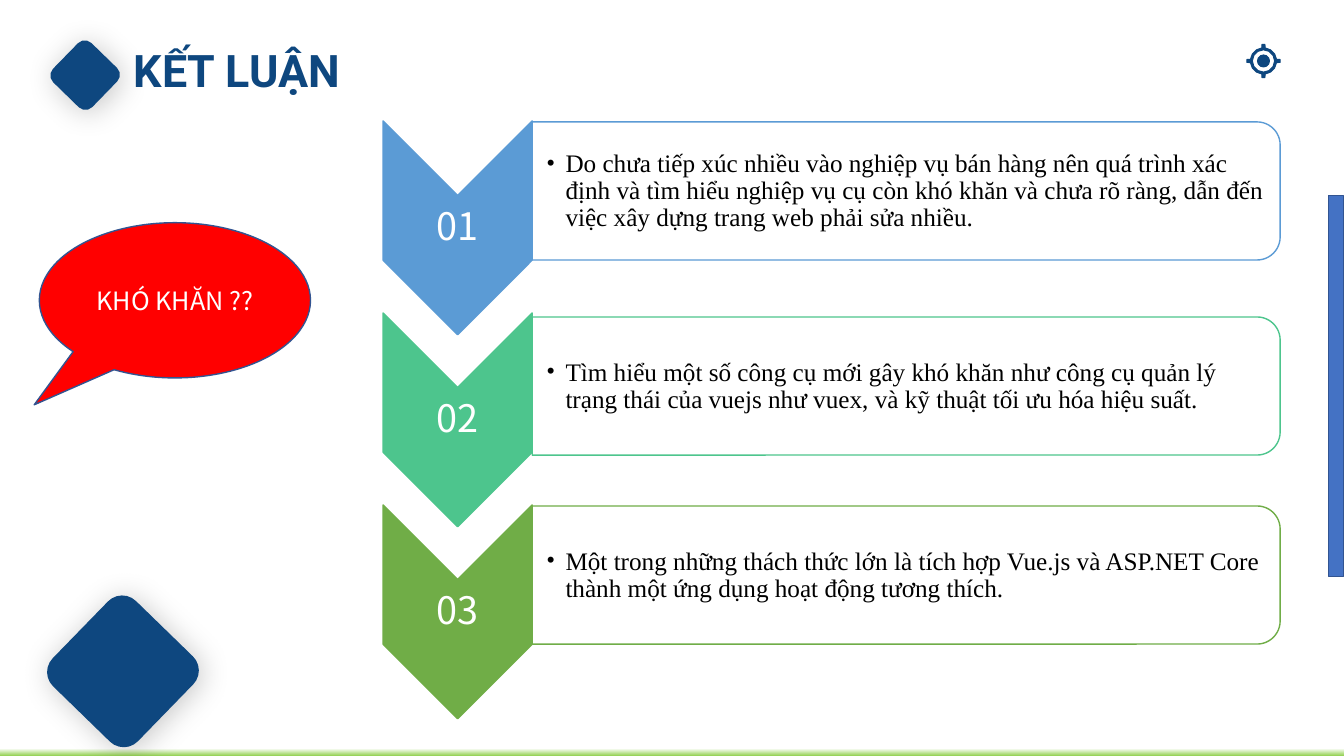
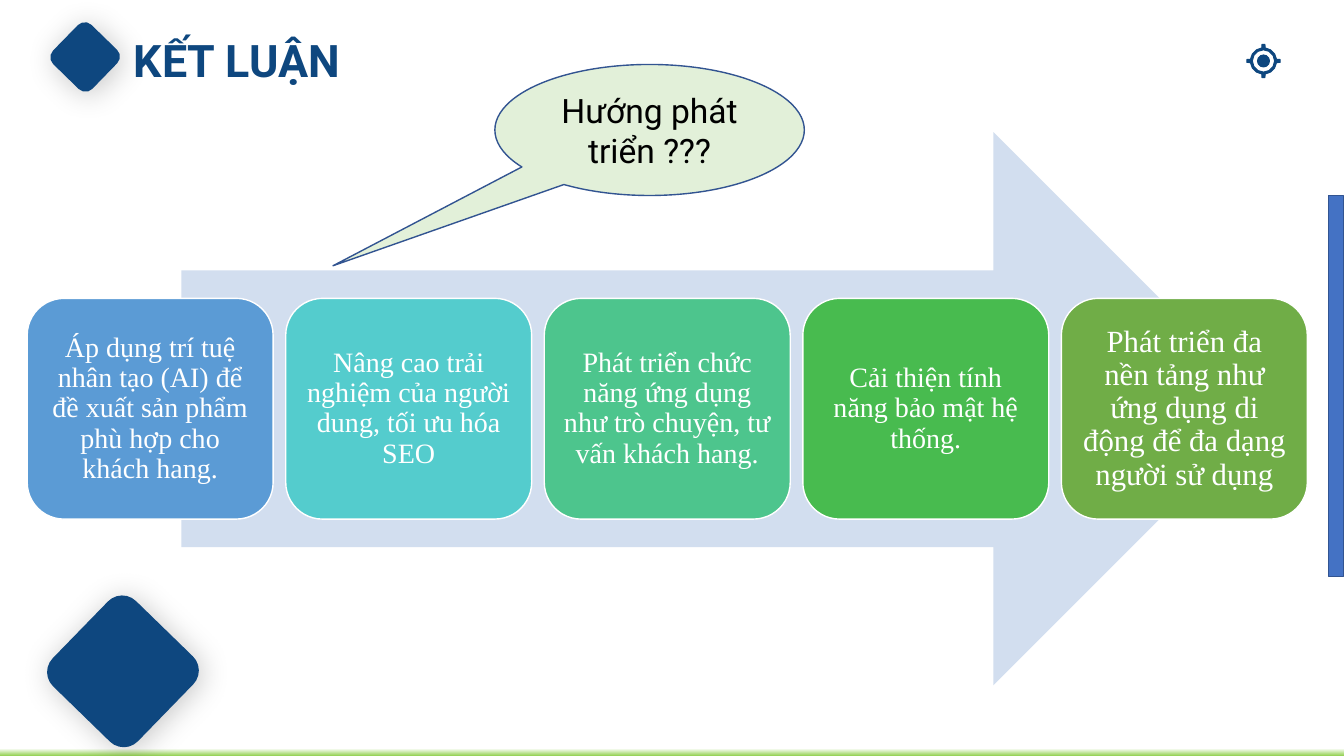
import dataclasses
import math

import pptx
import pptx.dml.color
import pptx.enum.shapes
import pptx.enum.text
import pptx.oxml
import pptx.oxml.ns
import pptx.util

Inches = pptx.util.Inches
Pt = pptx.util.Pt
PRESET = pptx.enum.shapes.MSO_SHAPE
ALIGN = pptx.enum.text.PP_ALIGN
MIDDLE = pptx.enum.text.MSO_ANCHOR.MIDDLE
GROW = pptx.enum.text.MSO_AUTO_SIZE.SHAPE_TO_FIT_TEXT


@dataclasses.dataclass(frozen=True)
class Theme:
    navy: str = "0E477F"
    white: str = "FFFFFF"
    black: str = "000000"
    red: str = "FF0000"
    mint: str = "E2F0D9"
    glow: str = "92D050"
    side_bar: str = "4472C4"
    outline: str = "325491"
    pale_arrow: str = "D2DEEF"
    blue: str = "5B9BD5"
    teal: str = "54CCCD"
    jade: str = "4DC58D"
    green: str = "48BB4F"
    olive: str = "70AD47"
    heading_font: str = "Roboto"
    body_font: str = "Times New Roman"
    label_font: str = "Noto Sans CJK SC"
    title_size: int = 32
    number_size: int = 27
    callout_size: int = 24
    last_card_size: int = 22
    card_size: int = 20
    body_size: int = 18


THEME = Theme()

DIFFICULTIES = [
    ("01", THEME.blue, 0.01,
     "Do chưa tiếp xúc nhiều vào nghiệp vụ bán hàng nên quá trình xác định và tìm hiểu "
     "nghiệp vụ cụ còn khó khăn và chưa rõ ràng, dẫn đến việc xây dựng trang web phải sửa nhiều."),
    ("02", THEME.jade, 0.04,
     "Tìm hiểu một số công cụ mới gây khó khăn như công cụ quản lý trạng thái của vuejs "
     "như vuex, và kỹ thuật tối ưu hóa hiệu suất."),
    ("03", THEME.olive, 0.01,
     "Một trong những thách thức lớn là tích hợp Vue.js và ASP.NET Core thành một ứng dụng "
     "hoạt động tương thích."),
]

DIRECTIONS = [
    ("Áp dụng trí tuệ nhân tạo (AI) để đề xuất sản phẩm phù hợp cho khách hang.",
     THEME.blue, THEME.card_size),
    ("Nâng cao trải nghiệm của người dung, tối ưu hóa SEO", THEME.teal, THEME.card_size),
    ("Phát triển chức năng ứng dụng như trò chuyện, tư vấn khách hang.",
     THEME.jade, THEME.card_size),
    ("Cải thiện tính năng bảo mật hệ thống.", THEME.green, THEME.card_size),
    ("Phát triển đa nền tảng như ứng dụng di động để đa dạng người sử dụng",
     THEME.olive, THEME.last_card_size),
]


def rgb(colour):
    return pptx.dml.color.RGBColor.from_string(colour)


def assign(target, values):
    for name, value in values.items():
        setattr(target, name, value)


def drawing_xml(tag, attributes, inner=""):
    return pptx.oxml.parse_xml(
        f"<a:{tag} {pptx.oxml.ns.nsdecls('a')} {attributes}>{inner}</a:{tag}>")


def paint(shape, fill, line=None, width=1):
    shape.shadow.inherit = False
    shape.fill.solid()
    shape.fill.fore_color.rgb = rgb(fill)
    if line:
        shape.line.color.rgb = rgb(line)
        shape.line.width = Pt(width)
    else:
        shape.line.fill.background()
    return shape


def add_preset(slide, preset, box, fill, line=None, rotation=0):
    shape = slide.shapes.add_shape(preset, *map(Inches, box))
    shape.rotation = rotation
    return paint(shape, fill, line)


def add_quarter_turned(slide, preset, box, fill, line):
    left, top, width, height = box
    shift = (width - height) / 2
    return add_preset(slide, preset, (left + shift, top - shift, height, width), fill, line, 90)


def write(holder, text, font, size, colour, bold=False, insets=None, frame=None, paragraph=None):
    holder.text_frame.word_wrap = True
    assign(holder.text_frame, frame or {})
    if insets:
        sides = ("margin_left", "margin_top", "margin_right", "margin_bottom")
        assign(holder.text_frame, dict(zip(sides, map(Inches, insets))))
    line = holder.text_frame.paragraphs[0]
    assign(line, paragraph or {})
    run = line.add_run()
    run.text = text
    assign(run.font, {"name": font, "size": Pt(size), "bold": bold})
    run.font.color.rgb = rgb(colour)
    return line


def add_text(slide, box, *content, **formats):
    return write(slide.shapes.add_textbox(*map(Inches, box)), *content, **formats)


def add_diamond(slide, box, line=None):
    diamond = add_preset(slide, PRESET.ROUNDED_RECTANGLE, box, THEME.navy, line, 314.2)
    effects = diamond.element.spPr.find(pptx.oxml.ns.qn("a:effectLst"))
    effects.append(drawing_xml(
        "outerShdw",
        f'blurRad="{Pt(22)}" dist="{Pt(3)}" dir="2700000" algn="tl" rotWithShape="0"',
        f'<a:srgbClr val="{THEME.black}"><a:alpha val="22000"/></a:srgbClr>'))


def add_target(slide, box):
    left, top, width, height = box
    reach = width / 2
    rim, hole, dot = reach * 0.79, reach * 0.67, reach * 0.36

    def polar(radius, degrees):
        angle = math.radians(degrees)
        return (Inches(left + width / 2 + radius * math.cos(angle)),
                Inches(top + height / 2 + radius * math.sin(angle)))

    outline = []
    for axis in range(0, 360, 90):
        outline += [polar(reach, axis - 5), polar(reach, axis + 5)]
        outline += [polar(rim, axis + step) for step in (7, 32, 58, 83)]
    rings = [[polar(radius, -step) for step in range(0, 360, 30)] for radius in (hole, dot)]
    builder = slide.shapes.build_freeform(*outline[0])
    builder.add_line_segments(outline[1:])
    for ring in rings:
        builder.move_to(*ring[0])
        builder.add_line_segments(ring[1:])
    paint(builder.convert_to_shape(), THEME.navy, THEME.navy, 0.75)


def add_frame(slide, title_top, diamond_top):
    add_text(slide, (1.23, title_top, 6.01, 0.64), "KẾT LUẬN",
             THEME.heading_font, THEME.title_size, THEME.navy, bold=True,
             frame={"auto_size": GROW})
    add_diamond(slide, (0.58, diamond_top, 0.53, 0.53), THEME.navy)
    add_diamond(slide, (0.63, 6.07, 1.18, 1.18))
    add_target(slide, (12.37, 0.44, 0.33, 0.33))
    add_preset(slide, PRESET.RECTANGLE, (13.18, 1.94, 0.15, 3.78), THEME.side_bar, THEME.outline)


def add_callout(slide, box, tip, fill, *content):
    callout = add_preset(slide, PRESET.OVAL_CALLOUT, box, fill, THEME.outline)
    for index, offset in enumerate(tip):
        callout.adjustments[index] = offset
    write(callout, *content, frame={"vertical_anchor": MIDDLE},
          paragraph={"alignment": ALIGN.CENTER})


def add_difficulty(slide, box, number, colour, nudge, text):
    left, top, width, height = box
    chevron_width = 1.48
    panel_left, panel_top = left + chevron_width, top + nudge
    panel_width = width - chevron_width
    add_quarter_turned(slide, PRESET.CHEVRON, (left, top, chevron_width, height), colour, colour)
    add_text(slide, (left, top + 0.75, chevron_width, 0.63), number,
             THEME.label_font, THEME.number_size, THEME.white, insets=[0.02] * 4,
             frame={"vertical_anchor": MIDDLE},
             paragraph={"alignment": ALIGN.CENTER, "line_spacing": 0.9})
    panel = add_quarter_turned(slide, PRESET.ROUND_2_SAME_RECTANGLE,
                               (panel_left, panel_top, panel_width, 1.37), THEME.white, colour)
    panel_fill = panel.element.spPr.find(pptx.oxml.ns.qn("a:solidFill"))
    panel_fill[0].append(drawing_xml("alpha", 'val="90000"'))
    bullet = add_text(slide, (panel_left, panel_top + 0.07, panel_width - 0.07, 1.24), text,
                      THEME.body_font, THEME.body_size, THEME.black,
                      insets=(0.14, 0.01, 0.01, 0.01), frame={"vertical_anchor": MIDDLE},
                      paragraph={"level": 1, "line_spacing": 0.9})
    properties = bullet._p.get_or_add_pPr()
    properties.set("marL", str(Inches(0.19)))
    properties.set("indent", str(Inches(-0.19)))
    properties.append(drawing_xml("buFont", f'typeface="{THEME.body_font}"'))
    properties.append(drawing_xml("buChar", 'char="•"'))


def add_direction_cards(slide, box):
    left, top, width, height = box
    gap = 0.125
    card_width = (width - gap * (len(DIRECTIONS) - 1)) / len(DIRECTIONS)
    for index, (text, colour, size) in enumerate(DIRECTIONS):
        card = add_preset(slide, PRESET.ROUNDED_RECTANGLE,
                          (left + index * (card_width + gap), top, card_width, height),
                          colour, THEME.white)
        write(card, text, THEME.body_font, size, THEME.white, insets=[size * 0.004] * 4,
              frame={"vertical_anchor": MIDDLE},
              paragraph={"alignment": ALIGN.CENTER, "line_spacing": 0.9})


def build_difficulties(slide):
    add_frame(slide, title_top=0.37, diamond_top=0.48)
    for index, difficulty in enumerate(DIFFICULTIES):
        add_difficulty(slide, (3.8, 1.2 + index * 1.905, 8.9, 2.12), *difficulty)
    add_callout(slide, (0.39, 2.21, 2.69, 1.54), (-0.519, 0.673), THEME.red,
                "KHÓ KHĂN ??", THEME.label_font, THEME.body_size, THEME.white)


def build_directions(slide):
    add_frame(slide, title_top=0.28, diamond_top=0.3)
    add_preset(slide, PRESET.RIGHT_ARROW, (1.8, 1.31, 10.8, 5.49), THEME.pale_arrow)
    add_direction_cards(slide, (0.27, 2.96, 12.7, 2.19))
    add_callout(slide, (4.91, 0.64, 3.07, 1.3), (-1.023, 1.036), THEME.mint,
                "Hướng phát triển ???", THEME.heading_font, THEME.callout_size, THEME.black)


def set_background(master):
    backdrop = master.background.fill
    backdrop.gradient()
    backdrop.gradient_angle = 270
    stops = ((0.99, THEME.white), (1.0, THEME.glow))
    for stop, (position, colour) in zip(backdrop.gradient_stops, stops):
        stop.position = position
        stop.color.rgb = rgb(colour)


def main():
    presentation = pptx.Presentation()
    assign(presentation, {"slide_width": Inches(40 / 3), "slide_height": Inches(7.5)})
    set_background(presentation.slide_master)
    for build in (build_difficulties, build_directions):
        build(presentation.slides.add_slide(presentation.slide_layouts[6]))
    presentation.save("out.pptx")


if __name__ == "__main__":
    main()
